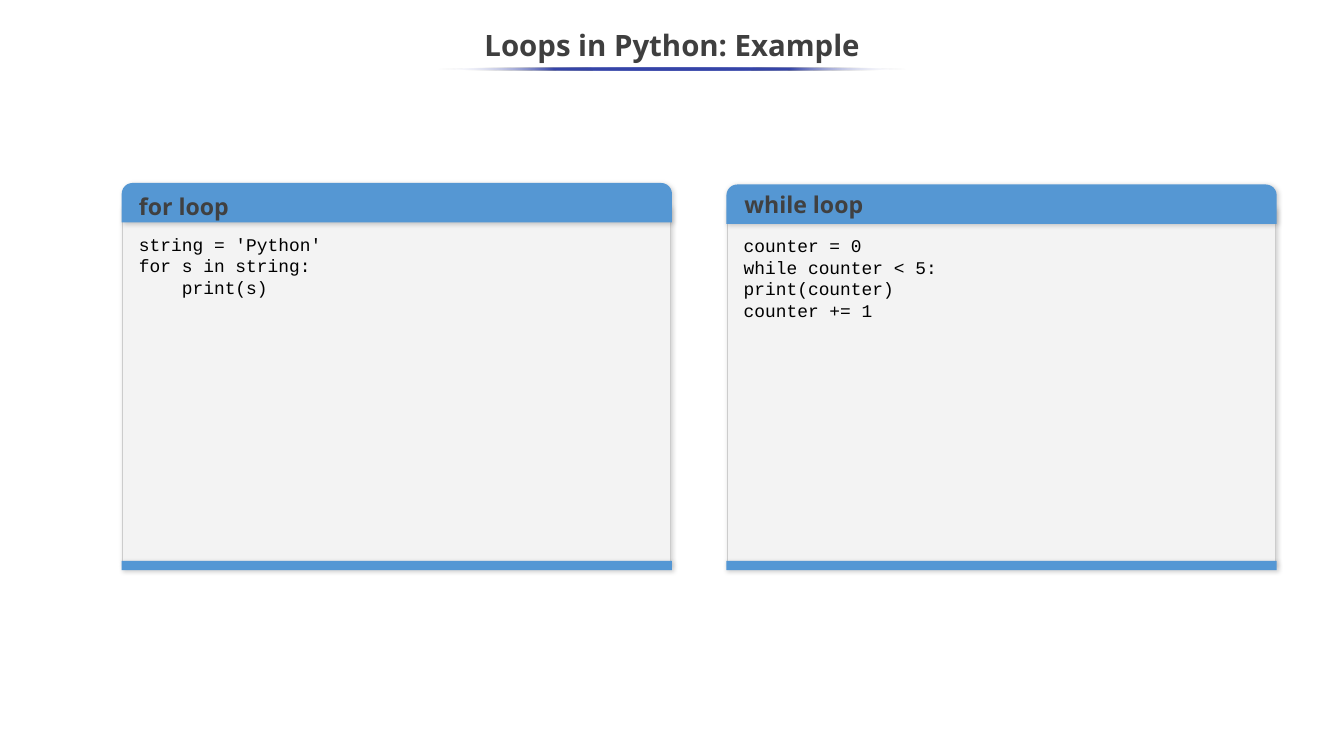
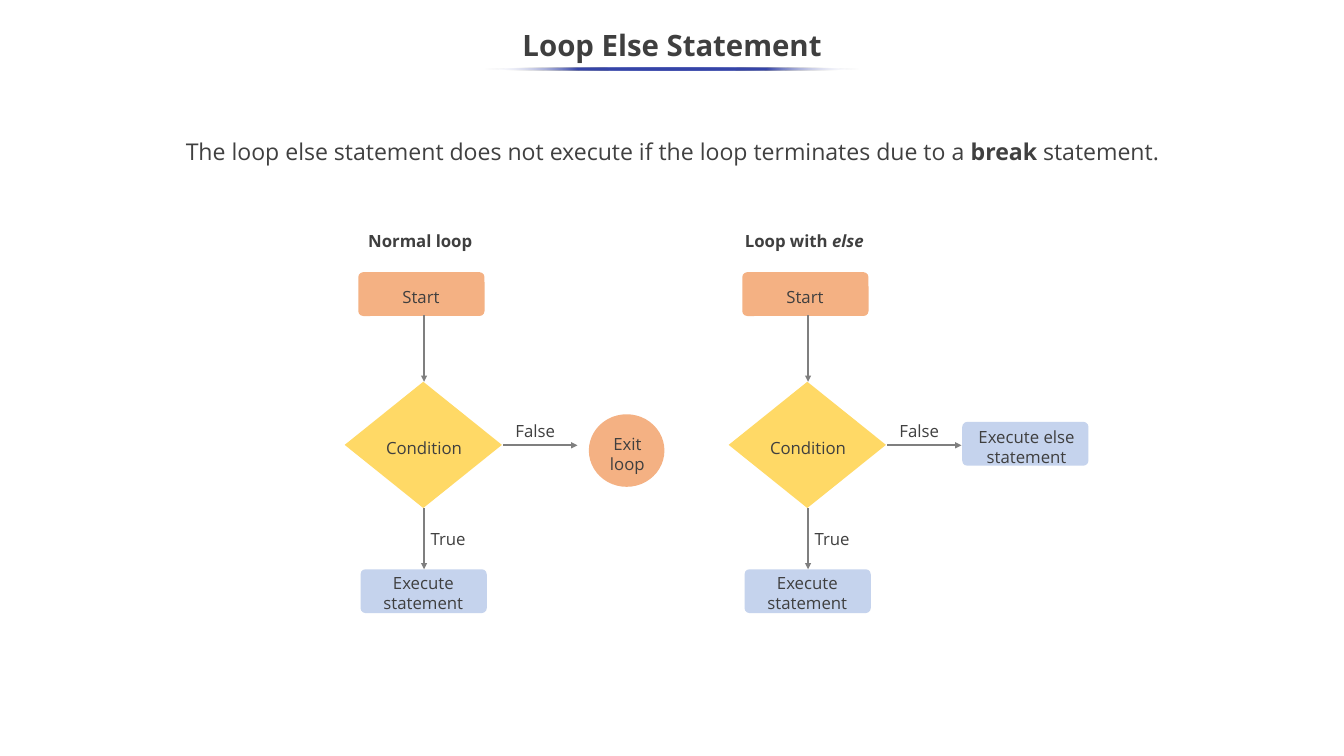
from lxml import etree
from pptx import Presentation
from pptx.dml.color import RGBColor
from pptx.enum.shapes import MSO_CONNECTOR, MSO_SHAPE
from pptx.enum.text import MSO_ANCHOR, MSO_AUTO_SIZE, PP_ALIGN
from pptx.oxml import parse_xml
from pptx.oxml.ns import nsdecls, qn
from pptx.util import Inches, Pt

# Shared look
WIDTH, HEIGHT = 17.78, 10
FONT, CODE_FONT = "Open Sans", "Courier New"
DARK, HEADING, BLACK = "3F3F3F", "404040", "000000"
ACCENT, BAND, BAND_FOOT = "3645A9", "5597D3", "5497D4"
PANEL, PANEL_EDGE = "F3F3F3", "CCCCCC"
PEACH, YELLOW, LILAC, ARROW = "F4B183", "FFD966", "C5D3ED", "7F7F7F"

# Slide 1: panels as left, band top, heading left and top, heading, code
EXAMPLE_TITLE, EXAMPLE_RULE = "Loops in Python: Example", 6.21
PANELS = [
    (9.61, 2.44, 9.75, 2.42, "while loop",
     ["counter = 0", "while counter < 5:", "print(counter)", "counter += 1"]),
    (1.61, 2.42, 1.74, 2.44, "for loop",
     ["string = 'Python'", "for s in string:", "    print(s)"]),
]

# Slide 2: a paragraph is a string or a list of (text, style) runs
ELSE_TITLE, ELSE_RULE = "Loop Else Statement", 4.95
MESSAGE = [("The loop else statement does not execute if the loop terminates due to a ", ""),
           ("break", "b"), (" statement.", "")]
# Flowcharts as axis, heading, start label top, start spacing
FLOWS = [
    (5.61, [("Normal loop", "b")], 3.71, 1.15),
    (10.69, [("Loop with ", "b"), ("else", "bi")], 3.74, None),
]


def color(value):
    return RGBColor.from_string(value)


def write(box, paragraphs, size=16, font=FONT, fill=DARK, bold=False,
          align=PP_ALIGN.LEFT, spacing=None, anchor=MSO_ANCHOR.TOP, inset=0.05):
    frame = box.text_frame
    frame.word_wrap = True
    frame.auto_size = MSO_AUTO_SIZE.NONE
    frame.vertical_anchor = anchor
    frame.margin_left = frame.margin_right = Inches(0.1)
    frame.margin_top = frame.margin_bottom = Inches(inset)
    for index, content in enumerate(paragraphs):
        para = frame.paragraphs[0] if index == 0 else frame.add_paragraph()
        para.alignment = align
        if spacing:
            para.line_spacing = spacing
        runs = [(content, "b" if bold else "")] if isinstance(content, str) else content
        for text, style in runs:
            span = para.add_run()
            span.text = text
            span.font.name = font
            span.font.size = Pt(size)
            span.font.bold = "b" in style
            span.font.italic = "i" in style
            span.font.color.rgb = color(fill)


def add_text(page, left, top, width, height, paragraphs, **style):
    box = page.shapes.add_textbox(Inches(left), Inches(top), Inches(width), Inches(height))
    write(box, paragraphs, **style)


def add_label(page, center, top, width, height, paragraphs, **style):
    add_text(page, center - width / 2, top, width, height, paragraphs,
             align=PP_ALIGN.CENTER, **style)


def add_shape(page, kind, left, top, width, height, fill=None, line=None, adjust=()):
    shape = page.shapes.add_shape(kind, Inches(left), Inches(top), Inches(width), Inches(height))
    shape.shadow.inherit = False
    if fill:
        shape.fill.solid()
        shape.fill.fore_color.rgb = color(fill)
    else:
        shape.fill.background()
    if line:
        shape.line.color.rgb = color(line)
        shape.line.width = Pt(0.75)
    else:
        shape.line.fill.background()
    for index, value in enumerate(adjust):
        shape.adjustments[index] = value
    return shape


def add_shadow(shape):
    effects = shape._element.spPr.find(qn("a:effectLst"))
    effects.append(parse_xml(
        f'<a:outerShdw {nsdecls("a")} blurRad="{Pt(4.5)}" dist="{Pt(1.5)}" '
        f'dir="{47 * 60000}" algn="tl" rotWithShape="0">'
        f'<a:srgbClr val="{BLACK}"><a:alpha val="20000"/></a:srgbClr></a:outerShdw>'))


def add_arrow(page, start, end):
    points = [Inches(value) for value in (*start, *end)]
    arrow = page.shapes.add_connector(MSO_CONNECTOR.STRAIGHT, *points)
    arrow.line.color.rgb = color(ARROW)
    arrow.line.width = Pt(1.5)
    etree.SubElement(arrow.line._get_or_add_ln(), qn("a:tailEnd"), type="triangle")
    etree.SubElement(arrow._element.spPr, qn("a:effectLst"))


def add_page(deck, title, rule_width):
    page = deck.slides.add_slide(deck.slide_layouts[5])
    box = page.shapes.title
    box.left, box.top, box.width, box.height = map(Inches, (-0.01, 0.25, 17.8, 0.75))
    write(box, [title], size=28, bold=True, align=PP_ALIGN.CENTER,
          spacing=0.9, anchor=MSO_ANCHOR.MIDDLE)
    # Thin rule that fades out at both ends
    rule = add_shape(page, MSO_SHAPE.OVAL, (WIDTH - rule_width) / 2, 0.89, rule_width, 0.04)
    fade = '<a:srgbClr val="FFFFFF"><a:alpha val="0"/></a:srgbClr>'
    solid = f'<a:srgbClr val="{ACCENT}"/>'
    stops = "".join(f'<a:gs pos="{place * 1000}">{fade if place in (0, 100) else solid}</a:gs>'
                    for place in range(0, 101, 25))
    gradient = parse_xml(f'<a:gradFill {nsdecls("a")} rotWithShape="1"><a:gsLst>{stops}</a:gsLst>'
                         f'<a:lin ang="{180 * 60000}" scaled="0"/></a:gradFill>')
    properties = rule._element.spPr
    properties.replace(properties.find(qn("a:noFill")), gradient)
    return page


def add_panel(page, left, top, heading_left, heading_top, heading, code):
    bottom, body_top = 7.42, top + 0.31
    parts = [
        add_shape(page, MSO_SHAPE.RECTANGLE, left + 0.01, body_top, 7.25, bottom - body_top,
                  PANEL, PANEL_EDGE),
        add_shape(page, MSO_SHAPE.RECTANGLE, left, bottom, 7.28, 0.12, BAND_FOOT),
        add_shape(page, MSO_SHAPE.ROUND_2_SAME_RECTANGLE, left, top, 7.28, 0.52,
                  BAND, adjust=(0.275, 0)),
    ]
    for part in parts:
        add_shadow(part)
    add_text(page, left + 0.13, top + 0.57, 6.73, 3.8, code,
             size=17, font=CODE_FONT, fill=BLACK, inset=0.1)
    add_text(page, heading_left, heading_top, 2.25, 0.43, [heading],
             size=22, fill=HEADING, bold=True, spacing=1.15)


def add_step(page, left, top, fill):
    add_shape(page, MSO_SHAPE.ROUNDED_RECTANGLE, left, top, 1.67, 0.58, fill, adjust=(0.115,))


def add_flow(page, axis, heading, start_top, start_spacing):
    add_label(page, axis - 0.05, 3, 3.7, 0.37, [heading])
    # Steps down the axis
    add_step(page, axis - 0.87, 3.6, PEACH)
    add_label(page, axis - 0.04, start_top, 1.46, 0.4, ["Start"], spacing=start_spacing)
    add_shape(page, MSO_SHAPE.DIAMOND, axis - 1.05, 5.05, 2.08, 1.67, YELLOW)
    add_label(page, axis, 5.74, 1.3, 0.37, ["Condition"])
    add_step(page, axis - 0.84, 7.53, LILAC)
    add_label(page, axis - 0.01, 7.53, 1.88, 0.64, ["Execute statement"])
    # Branches
    add_arrow(page, (axis, 4.17), (axis, 5.05))
    add_arrow(page, (axis, 6.72), (axis, 7.53))
    add_arrow(page, (axis + 1.05, 5.89), (axis + 2.03, 5.89))
    add_text(page, axis + 1.11, 5.52, 0.87, 0.37, ["False"])
    add_text(page, axis - 0.01, 6.95, 0.7, 0.37, ["True"])


def main():
    deck = Presentation()
    deck.slide_width, deck.slide_height = Inches(WIDTH), Inches(HEIGHT)

    # Slide 1: code panels
    page = add_page(deck, EXAMPLE_TITLE, EXAMPLE_RULE)
    for panel in PANELS:
        add_panel(page, *panel)

    # Slide 2: message and flowcharts
    page = add_page(deck, ELSE_TITLE, ELSE_RULE)
    message = add_shape(page, MSO_SHAPE.ROUNDED_RECTANGLE, 2.14, 1.5, 13.51, 0.96)
    write(message, [MESSAGE], size=22, fill=HEADING, align=PP_ALIGN.CENTER,
          spacing=1.15, anchor=MSO_ANCHOR.MIDDLE)
    for flow in FLOWS:
        add_flow(page, *flow)

    # Where each False branch ends
    add_shape(page, MSO_SHAPE.OVAL, 7.79, 5.48, 1, 0.96, PEACH)
    add_label(page, 8.3, 5.69, 1.23, 0.64, ["Exit", "loop"])
    add_step(page, 12.73, 5.58, LILAC)
    add_label(page, 13.58, 5.59, 1.88, 0.64, ["Execute else statement"])

    deck.save("out.pptx")


if __name__ == "__main__":
    main()
